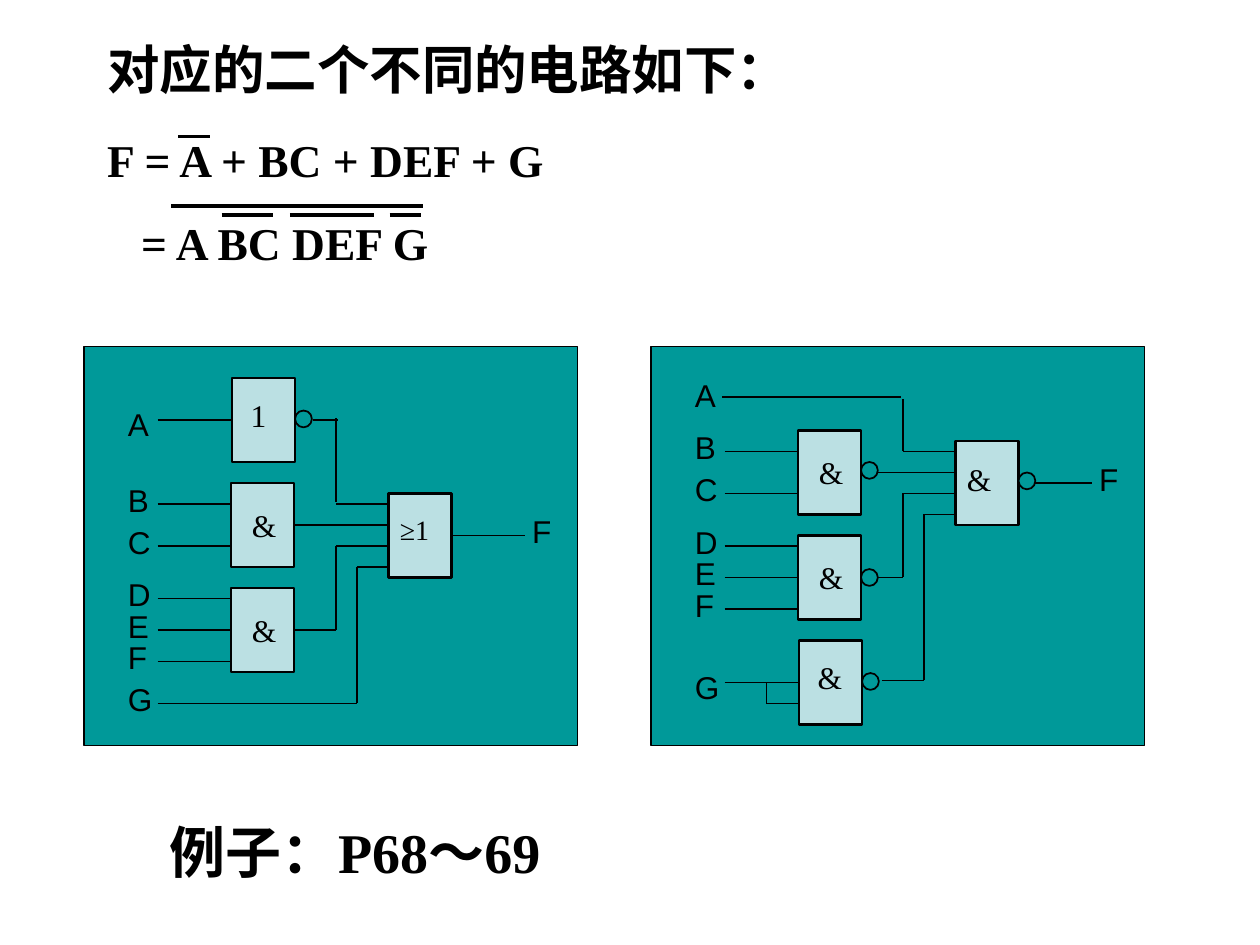
import pptx
import pptx.util
import pptx.dml.color
import pptx.enum.shapes
import pptx.enum.text
import pptx.oxml.ns
import lxml.etree

BLACK = pptx.dml.color.RGBColor(0x00, 0x00, 0x00)
TEAL = pptx.dml.color.RGBColor(0x00, 0x99, 0x99)
PALE = pptx.dml.color.RGBColor(0xBB, 0xE0, 0xE3)
SERIF = "Times New Roman"
SANS = "Arial"
UNIT = pptx.util.Inches(1) / 12
RECTANGLE = pptx.enum.shapes.MSO_SHAPE.RECTANGLE
OVAL = pptx.enum.shapes.MSO_SHAPE.OVAL
TOP = pptx.enum.text.MSO_ANCHOR.TOP
MIDDLE = pptx.enum.text.MSO_ANCHOR.MIDDLE

PANEL_COLUMNS, PANEL_ROWS = 47, 38
GATE_COLUMNS, GATE_ROWS = 6, 8
BUBBLE = 1.6
LABEL_COLUMN, OUTPUT_COLUMN = 3, 41.5
INPUT_START, INPUT_END = 7, 14

OR_CIRCUIT = {
    "labels": [("A", 5), ("B", 12.2), ("C", 16.2), ("D", 21.2),
               ("E", 24.2), ("F", 27.2), ("G", 31.2)],
    "output": 15.2,
    "inputs": [7, 15, 19, 24, 27, 30],
    "wires": [(7, 34, 26, 34), (21.8, 7, 24.2, 7), (20, 17, 29, 17),
              (24, 15, 29, 15), (24, 19, 29, 19), (26, 21, 29, 21),
              (35, 18, 42, 18)],
    "thin_wires": [(24, 6.8, 24, 14.8), (26, 21, 26, 34),
                   (24, 19, 24, 27), (20, 27, 24, 27)],
    "gates": [("1", 14.1, 3, 0.6, 1.1, 18), ("&", 14, 13, 0.8, 1.6, 18),
              ("&", 14, 23, 0.8, 1.6, 18), ("≥1", 29, 14, -0.1, 1.2, 16)],
    "bubbles": [(20.1, 6.1)],
}
NAND_CIRCUIT = {
    "labels": [("A", 2.2), ("B", 7.2), ("C", 11.2), ("D", 16.2),
               ("E", 19.2), ("F", 22.2), ("G", 30)],
    "output": 10.2,
    "inputs": [10, 14, 19, 22, 25, 32],
    "wires": [(6.8, 4.8, 23.8, 4.8), (22, 31.8, 26, 31.8), (20, 12, 29, 12),
              (24, 10, 29, 10), (24, 14, 29, 14), (26, 16, 29, 16),
              (35, 13, 42, 13)],
    "thin_wires": [(24, 5, 24, 10), (26, 16, 26, 31.8), (24, 14, 24, 22),
                   (20, 22, 24, 22), (11, 32, 11, 34), (11, 34, 14, 34)],
    "gates": [("&", 14, 8, 0.8, 1.6, 18), ("&", 14, 18, 0.8, 1.6, 18),
              ("&", 14.1, 28, 0.6, 1.1, 18), ("&", 29, 9, -0.1, 1.2, 18)],
    "bubbles": [(20, 11), (20, 21.2), (20.1, 31.1), (35, 12)],
}


def grid(*values):
    return [round(value * UNIT) for value in values]


def place(shape, box):
    shape.left, shape.top, shape.width, shape.height = grid(*box)


def write(paragraph, text, size, font_name, bold=False):
    paragraph.alignment = pptx.enum.text.PP_ALIGN.LEFT
    run = paragraph.add_run()
    run.text = text
    run.font.size = pptx.util.Pt(size)
    run.font.name = font_name
    run.font.bold = bold
    run.font.color.rgb = BLACK


def add_text(shapes, box, text, size, font_name, bold=False):
    text_box = shapes.add_textbox(*grid(*box))
    text_box.text_frame.word_wrap = True
    paragraph = text_box.text_frame.paragraphs[0]
    write(paragraph, text, size, font_name, bold)
    return paragraph


def add_block(shapes, kind, box, fill, line_width):
    shape = shapes.add_shape(kind, *grid(*box))
    shape.shadow.inherit = False
    shape.fill.solid()
    shape.fill.fore_color.rgb = fill
    shape.line.color.rgb = BLACK
    shape.line.width = pptx.util.Pt(line_width)


def add_line(shapes, ends, width):
    connector = shapes.add_connector(
        pptx.enum.shapes.MSO_CONNECTOR.STRAIGHT, *grid(*ends))
    connector.line.color.rgb = BLACK
    connector.line.width = pptx.util.Pt(width)
    lxml.etree.SubElement(connector.element.spPr,
                          pptx.oxml.ns.qn("a:effectLst"))


def add_heading(slide, box):
    title = slide.shapes.title
    place(title, box)
    title.text_frame.vertical_anchor = MIDDLE
    write(title.text_frame.paragraphs[0], "对应的二个不同的电路如下：", 30, SERIF, True)


def add_formulas(slide, box):
    body = slide.placeholders[1]
    place(body, box)
    frame = body.text_frame
    frame.vertical_anchor = TOP
    formulas = [("F = A + BC + DEF + G", 0, 0), ("= A BC DEF G", 0.27, 16.2)]
    for index, (text, margin, space) in enumerate(formulas):
        paragraph = frame.paragraphs[0] if index == 0 else frame.add_paragraph()
        properties = paragraph._p.get_or_add_pPr()
        properties.set("marL", str(pptx.util.Inches(margin)))
        properties.set("indent", "0")
        lxml.etree.SubElement(properties, pptx.oxml.ns.qn("a:buNone"))
        paragraph.space_before = pptx.util.Pt(space)
        write(paragraph, text, 26, SERIF, True)
    left, top = box[:2]
    overlines = [(8, 11, 1), (7.3, 31.3, 7.6), (12.1, 17, 8.5),
                 (18.6, 26.6, 8.5), (28.1, 31.1, 8.5)]
    for start, end, row in overlines:
        add_line(slide.shapes,
                 (left + start, top + row, left + end, top + row), 2.25)


def add_circuit(slide, left, top, circuit):
    shapes = slide.shapes.add_group_shape().shapes

    def inside(column, row, width, height):
        return left + column, top + row, width, height

    add_block(shapes, RECTANGLE,
              inside(0, 0, PANEL_COLUMNS, PANEL_ROWS), TEAL, 0.75)
    inputs = [(INPUT_START, row, INPUT_END, row) for row in circuit["inputs"]]
    for width, wires in ((1, inputs + circuit["wires"]),
                         (0.75, circuit["thin_wires"])):
        for x1, y1, x2, y2 in wires:
            add_line(shapes, (left + x1, top + y1, left + x2, top + y2), width)
    for symbol, column, row, dx, dy, size in circuit["gates"]:
        add_block(shapes, RECTANGLE,
                  inside(column, row, GATE_COLUMNS, GATE_ROWS), PALE, 1.5)
        add_text(shapes, inside(column + dx, row + dy, 6, 4.8),
                 symbol, size, SERIF)
    for column, row in circuit["bubbles"]:
        add_block(shapes, OVAL, inside(column, row, BUBBLE, BUBBLE), TEAL, 1)
    labels = [(name, LABEL_COLUMN, row) for name, row in circuit["labels"]]
    labels.append(("F", OUTPUT_COLUMN, circuit["output"]))
    for name, column, row in labels:
        add_text(shapes, inside(column, row, 5, 4.8), name, 18, SANS)


def add_example(slide, box):
    paragraph = add_text(slide.shapes, box, "例子：P68～69", 32, SERIF, True)
    paragraph.line_spacing = 0.9


def main():
    presentation = pptx.Presentation()
    presentation.slide_width = pptx.util.Inches(10)
    presentation.slide_height = pptx.util.Inches(7.5)
    slide = presentation.slides.add_slide(presentation.slide_layouts[1])
    add_heading(slide, (9, 2, 102, 9))
    add_formulas(slide, (9, 12, 48, 15))
    add_circuit(slide, 8, 33, OR_CIRCUIT)
    add_circuit(slide, 62, 33, NAND_CIRCUIT)
    add_example(slide, (15, 78, 59, 7))
    presentation.save("out.pptx")


if __name__ == "__main__":
    main()
